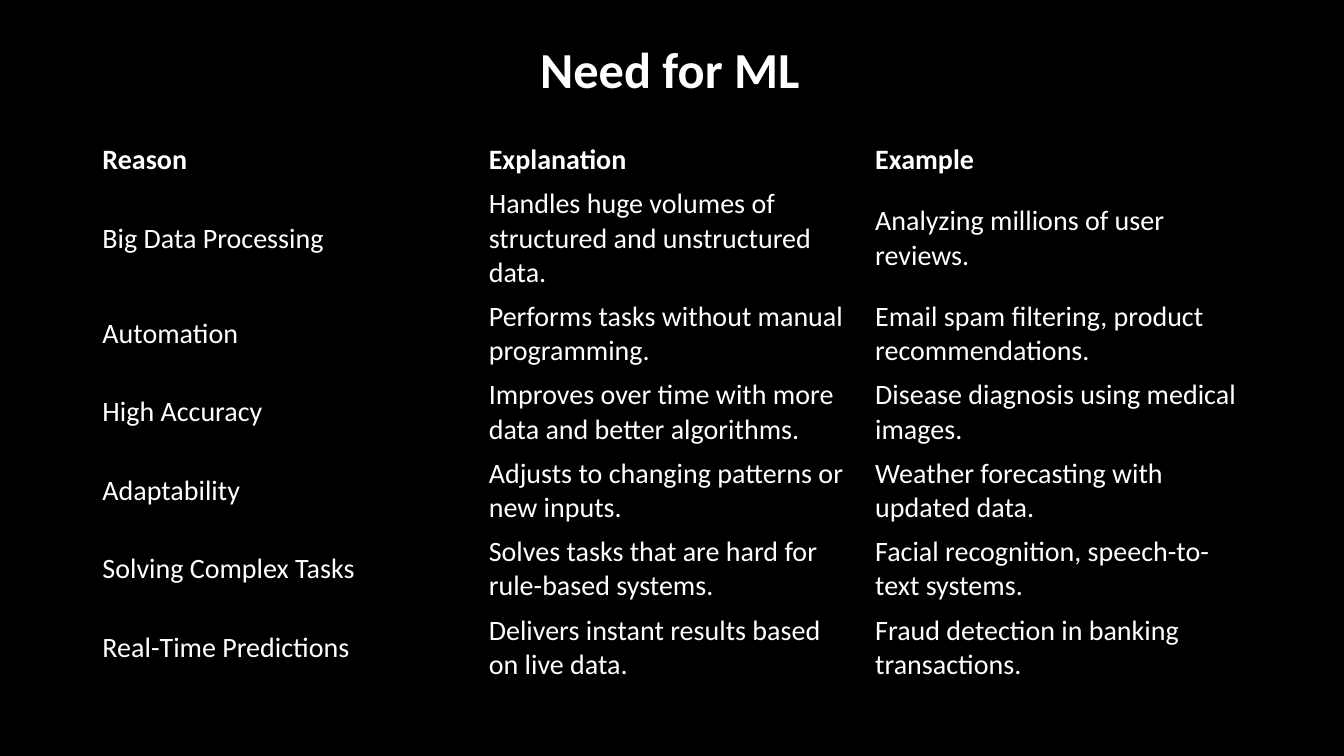
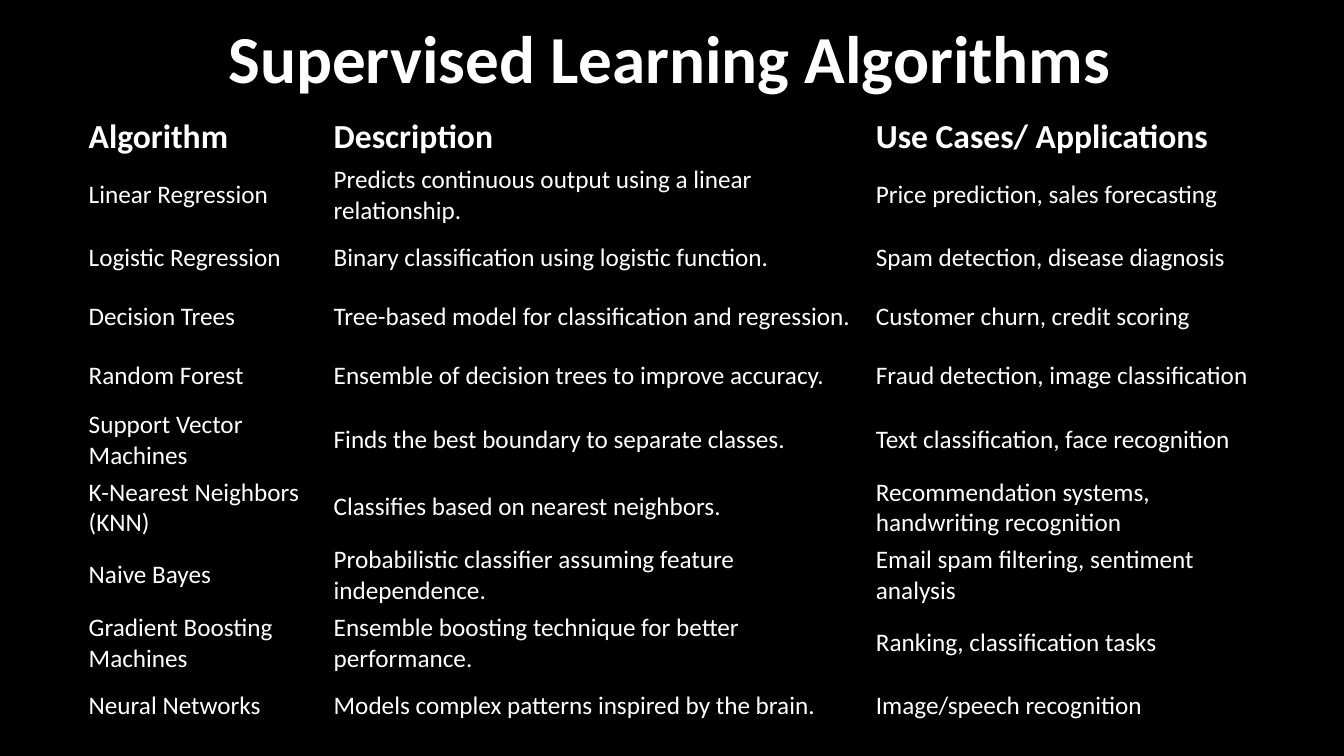
from pptx import Presentation
from pptx.dml.color import RGBColor
from pptx.enum import text
from pptx.util import Pt

COLOURS = {"background": "000000", "text": "FFFFFF"}
FONT = "Calibri"
NO_GRID_STYLE = "{2D5ABB26-0587-4C30-8999-92F81FD0307C}"

deck = Presentation()
deck.slide_width, deck.slide_height = Pt(960), Pt(540)


def set_font(paragraph, size, bold):
    font = paragraph.font
    font.name, font.size, font.bold = FONT, Pt(size), bold
    font.color.rgb = RGBColor.from_string(COLOURS["text"])


# Content and measures of each slide
topics = [
    {
        "title": "Need for ML", "title_size": 36, "title_top": 28.8,
        "left": 66, "top": 98.6, "columns": [276, 276, 276],
        "rows": [31.5, 80.5] + [56] * 5,
        "margins": (7.2, 3.6), "head_size": 20, "body_size": 20,
        "table": [
            ("Reason", "Explanation", "Example"),
            ("Big Data Processing",
             "Handles huge volumes of structured and unstructured data.",
             "Analyzing millions of user reviews."),
            ("Automation",
             "Performs tasks without manual programming.",
             "Email spam filtering, product recommendations."),
            ("High Accuracy",
             "Improves over time with more data and better algorithms.",
             "Disease diagnosis using medical images."),
            ("Adaptability",
             "Adjusts to changing patterns or new inputs.",
             "Weather forecasting with updated data."),
            ("Solving Complex Tasks",
             "Solves tasks that are hard for rule-based systems.",
             "Facial recognition, speech-to-text systems."),
            ("Real-Time Predictions",
             "Delivers instant results based on live data.",
             "Fraud detection in banking transactions."),
        ],
    },
    {
        "title": "Supervised Learning Algorithms", "title_size": 48, "title_top": 14.4,
        "left": 58.4, "top": 80.6, "columns": [175, 387.3, 280.8],
        "rows": [34.3] + [42.2] * 9,
        "margins": (5, 2.6), "head_size": 24, "body_size": 18,
        "table": [
            ("Algorithm", "Description", "Use Cases/ Applications"),
            ("Linear Regression",
             "Predicts continuous output using a linear relationship.",
             "Price prediction, sales forecasting"),
            ("Logistic Regression",
             "Binary classification using logistic function.",
             "Spam detection, disease diagnosis"),
            ("Decision Trees",
             "Tree-based model for classification and regression.",
             "Customer churn, credit scoring"),
            ("Random Forest",
             "Ensemble of decision trees to improve accuracy.",
             "Fraud detection, image classification"),
            ("Support Vector Machines",
             "Finds the best boundary to separate classes.",
             "Text classification, face recognition"),
            ("K-Nearest Neighbors (KNN)",
             "Classifies based on nearest neighbors.",
             "Recommendation systems, handwriting recognition"),
            ("Naive Bayes",
             "Probabilistic classifier assuming feature independence.",
             "Email spam filtering, sentiment analysis"),
            ("Gradient Boosting Machines",
             "Ensemble boosting technique for better performance.",
             "Ranking, classification tasks"),
            ("Neural Networks",
             "Models complex patterns inspired by the brain.",
             "Image/speech recognition"),
        ],
    },
]

for topic in topics:
    slide = deck.slides.add_slide(deck.slide_layouts[6])
    backdrop = slide.background.fill
    backdrop.solid()
    backdrop.fore_color.rgb = RGBColor.from_string(COLOURS["background"])

    # Title
    title = slide.shapes.add_textbox(
        Pt(39), Pt(topic["title_top"]), Pt(879), Pt(topic["title_size"] * 1.3)).text_frame
    title.word_wrap = True
    heading = title.paragraphs[0]
    heading.text = topic["title"]
    heading.alignment = text.PP_ALIGN.CENTER
    heading.line_spacing = 0.9
    set_font(heading, topic["title_size"], True)

    # Table without grid or banding
    widths, heights = topic["columns"], topic["rows"]
    frame = slide.shapes.add_table(
        len(heights), len(widths), Pt(topic["left"]), Pt(topic["top"]),
        Pt(sum(widths)), Pt(sum(heights)))
    grid = frame.table
    grid.horz_banding = False
    grid._tbl.tblPr[0].text = NO_GRID_STYLE
    for column, width in zip(grid.columns, widths):
        column.width = Pt(width)

    side, edge = topic["margins"]
    for r, (row, height, entries) in enumerate(zip(grid.rows, heights, topic["table"])):
        row.height = Pt(height)
        size = topic["body_size"] if r else topic["head_size"]
        for cell, entry in zip(row.cells, entries):
            cell.text = entry
            cell.fill.background()
            cell.vertical_anchor = text.MSO_ANCHOR.MIDDLE
            cell.margin_left = cell.margin_right = Pt(side)
            cell.margin_top = cell.margin_bottom = Pt(edge)
            set_font(cell.text_frame.paragraphs[0], size, r == 0)

deck.save("out.pptx")
